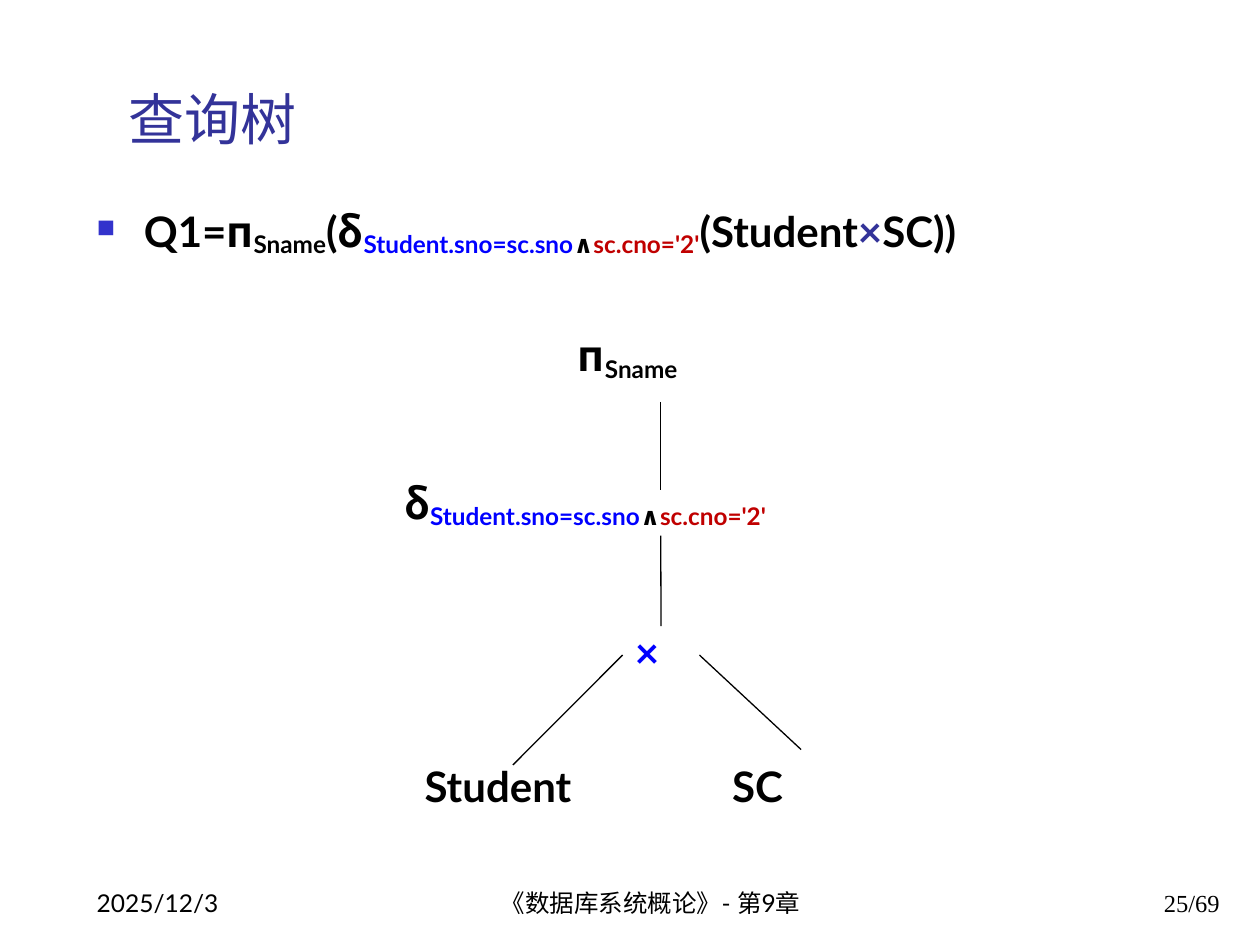
from lxml import etree
from pptx import Presentation
from pptx import util as u
from pptx.dml.color import RGBColor
from pptx.enum import shapes, text
from pptx.oxml.ns import qn

HUE = {"ink": "000000", "head": "333399", "mark": "3333CC",
       "join": "0000FF", "pick": "C00000"}
LATO, CJK, TIMES = "Lato", "Noto Sans CJK SC", "Times New Roman"

# Runs: wording, colour, font, subscript
COND = [("Student.sno=sc.sno", "join", LATO, True),
        ("∧", "ink", LATO, True),
        ("sc.cno='2'", "pick", LATO, True)]
PROJ = [("п", "ink", CJK, False), ("Sname", "ink", LATO, True)]
PICK = [("δ", "ink", CJK, False)] + COND


def plain(words, hue="ink", font=LATO):
    return (words, hue, font, False)


def write(slide, box, runs, size=24, bold=True, low=False,
          align=text.PP_ALIGN.LEFT):
    """Add a text box with one paragraph of styled runs."""
    shape = slide.shapes.add_textbox(*map(u.Cm, box))
    frame = shape.text_frame
    frame.word_wrap = True
    if low:
        frame.vertical_anchor = text.MSO_ANCHOR.BOTTOM
    para = frame.paragraphs[0]
    para.alignment = align
    for words, hue, face, sub in runs:
        run = para.add_run()
        run.text = words
        font = run.font
        font.size, font.bold, font.name = u.Pt(size), bold, face
        font.color.rgb = RGBColor.from_string(HUE[hue])
        props = run._r.get_or_add_rPr()
        etree.SubElement(props, qn("a:ea"), typeface=CJK)
        if sub:
            props.set("baseline", "-15000")
    return shape


def add_mark(para):
    """Give the paragraph a small square bullet and a hanging indent."""
    props = para._p.get_or_add_pPr()
    props.set("marL", str(u.Cm(0.95)))
    props.set("indent", str(-u.Cm(0.95)))
    tint = etree.SubElement(props, qn("a:buClr"))
    etree.SubElement(tint, qn("a:srgbClr"), val=HUE["mark"])
    etree.SubElement(props, qn("a:buSzPct"), val="60000")
    etree.SubElement(props, qn("a:buChar"), char="■")


def add_tab(para, pos):
    tabs = etree.SubElement(para._p.get_or_add_pPr(), qn("a:tabLst"))
    etree.SubElement(tabs, qn("a:tab"), pos=str(u.Cm(pos)), algn="l")


def link(slide, start, end, node=None, site=0):
    """Draw a thin line; its start may be joined to a node."""
    line = slide.shapes.add_connector(
        shapes.MSO_CONNECTOR.STRAIGHT, *map(u.Cm, start + end))
    line.line.width = u.Pt(0.75)
    line.line.color.rgb = RGBColor.from_string(HUE["ink"])
    etree.SubElement(line._element.spPr, qn("a:effectLst"))
    if node is not None:
        line.begin_connect(node, site)


def add_head(slide, box):
    left, top, wide, high = box
    # Title
    write(slide, (left + 0.64, top, wide - 0.64, 2.11),
          [plain("查询树", "head")], 32, False, True)
    # Query formula
    query = ([plain("Q1=")] + PROJ + [plain("(")] + PICK
             + [plain("(Student"), plain("×", "head"), plain("SC))")])
    body = write(slide, (left, top + 2.94, wide, high - 2.94), query)
    add_mark(body.text_frame.paragraphs[0])


def add_tree(slide, box):
    left, top, wide, high = box
    row = 1.17

    def node(x, y, width, runs):
        shape = write(slide, (left + x, top + y, width, row), runs)
        shape.text_frame.paragraphs[0].line_spacing = 0.9
        return shape

    def at(x, y):
        return (left + x, top + y)

    # Nodes from the root down
    node(3.5, 0, 3.5, PROJ)
    node(0, 2.98, wide, PICK)
    cross = node(4.65, 6.02, 1.55, [plain("×", "join")])
    leaf = node(0.41, high - row, 11.2, [plain("Student\tSC")])
    add_tab(leaf.text_frame.paragraphs[0], 6.2)

    # Branches
    mid, side = 5.42, 6.02 + row / 2
    link(slide, at(mid, 1.5), at(mid, 3.28))
    link(slide, at(mid, 6.02), at(mid, 4.2), cross, 0)
    link(slide, at(4.65, side), at(2.44, 8.82), cross, 1)
    link(slide, at(6.2, side), at(8.25, 8.51), cross, 3)


def add_foot(slide, box):
    left, top, wide, high = box
    align = text.PP_ALIGN
    parts = [(0, 5.28, "2025/12/3", LATO, align.LEFT),
             (7.39, 8.05, "《数据库系统概论》- 第9章", LATO, align.CENTER),
             (wide - 5.28, 5.28, "25/69", TIMES, align.RIGHT)]
    for x, width, words, face, side in parts:
        write(slide, (left + x, top, width, high),
              [plain(words, font=face)], 14, False, True, side)


def main():
    deck = Presentation()
    deck.slide_width, deck.slide_height = u.Cm(25.4), u.Cm(19.05)
    slide = deck.slides.add_slide(deck.slide_layouts[6])
    add_head(slide, (1.7, 1.07, 23.14, 4.44))
    add_tree(slide, (7.9, 6.6, 12.7, 9.89))
    add_foot(slide, (1.7, 17.35, 23.14, 1.27))
    deck.save("out.pptx")


if __name__ == "__main__":
    main()
